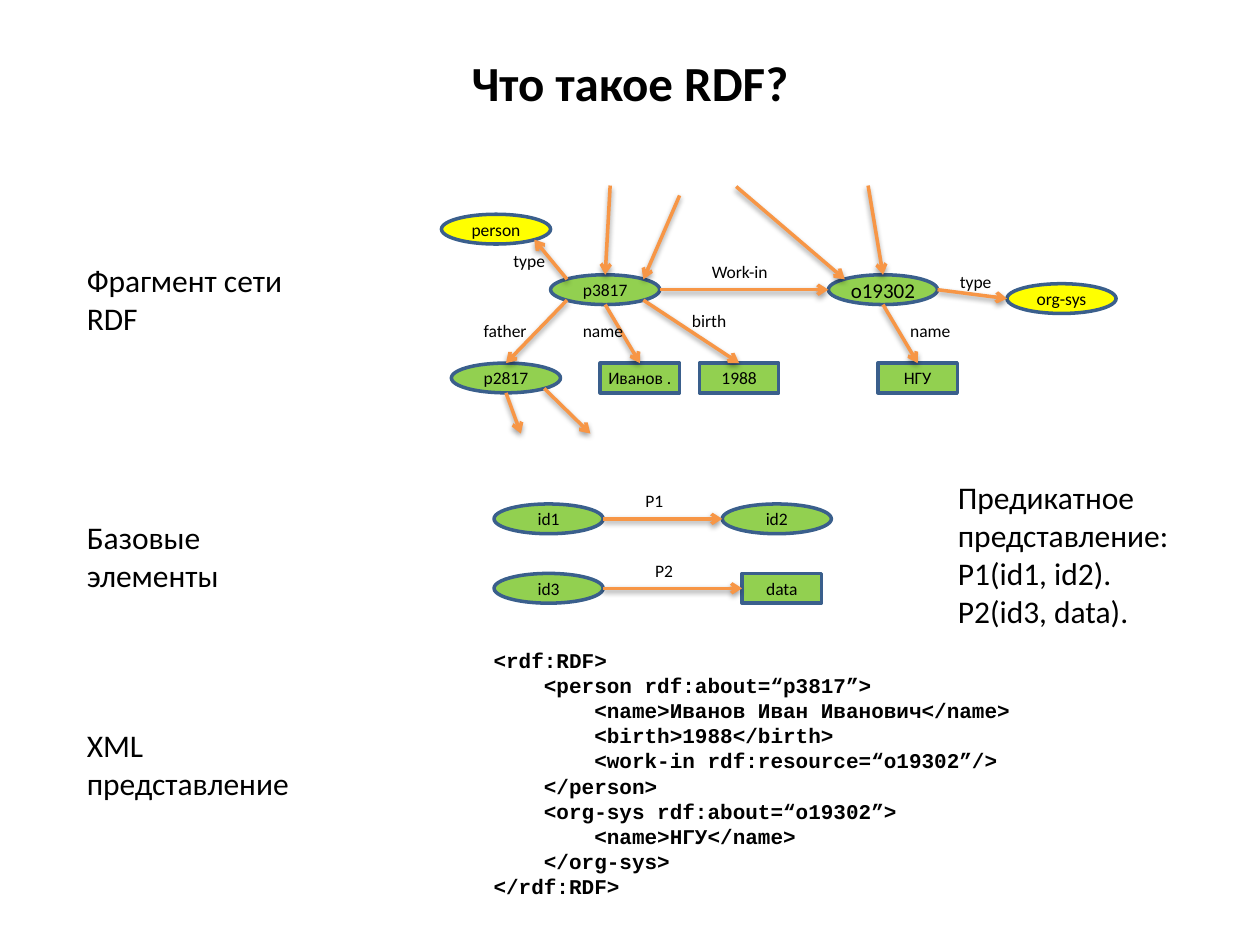
from lxml.etree import SubElement
from pptx import Presentation
from pptx.dml.color import RGBColor
from pptx.enum.shapes import MSO_CONNECTOR, MSO_SHAPE
from pptx.enum.text import MSO_ANCHOR, PP_ALIGN
from pptx.oxml import parse_xml
from pptx.oxml.ns import nsdecls, qn
from pptx.util import Inches, Pt

HUES = {"ink": "000000", "green": "92D050", "yellow": "FFFF00",
        "edge": "3A5F8C", "arrow": "F79646"}
RGB = {name: RGBColor.from_string(code) for name, code in HUES.items()}

deck = Presentation()
deck.slide_width, deck.slide_height = Inches(10), Inches(7.5)
slide = deck.slides.add_slide(deck.slide_layouts[6])
shapes = slide.shapes

# All places and sizes are in square cells, 127 to the slide's width.
CELL = deck.slide_width / 127
NODE_H = 3


def cells(*counts):
    return [round(n * CELL) for n in counts]


def write(shape, text, size=10, font="Calibri", bold=False, mid=False,
          wrap=True, pad=None):
    frame = shape.text_frame
    frame.word_wrap = wrap
    frame.vertical_anchor = MSO_ANCHOR.MIDDLE if mid else MSO_ANCHOR.TOP
    if pad is not None:
        frame.margin_left = frame.margin_right = Inches(pad)
        frame.margin_top = frame.margin_bottom = Inches(pad)
    frame.text = text
    for para in frame.paragraphs:
        para.alignment = PP_ALIGN.CENTER if mid else PP_ALIGN.LEFT
        para.font.size, para.font.name = Pt(size), font
        para.font.bold = bold
        para.font.color.rgb = RGB["ink"]


title = shapes.add_textbox(*cells(6.35, 3.8, 114.3, 8.9))
write(title, "Что такое RDF?", size=28, bold=True, mid=True)

# Nodes: name, left, top, kind, text size
OVAL, RECT = MSO_SHAPE.OVAL, MSO_SHAPE.RECTANGLE
KINDS = {"item": (OVAL, 11, "green"), "class": (OVAL, 11, "yellow"),
         "value": (RECT, 8, "green")}
NODES = [
    ("p3817", 55.5, 27.7, "item", 10),
    ("o19302", 83.5, 27.7, "item", 12),
    ("p2817", 45.5, 36.6, "item", 10),
    ("Иванов .", 60.5, 36.6, "value", 10),
    ("1988", 70.5, 36.6, "value", 10),
    ("НГУ", 88.5, 36.6, "value", 10),
    ("org-sys", 101.5, 28.6, "class", 10),
    ("person", 44.5, 21.6, "class", 10),
    ("id1", 49.8, 50.8, "item", 10),
    ("id2", 72.8, 50.8, "item", 10),
    ("id3", 49.8, 57.8, "item", 10),
    ("data", 74.8, 57.8, "value", 10),
]
# Sites on a node's outline, as shares of its width and height
SITES = {"N": (0.5, 0), "W": (0, 0.5), "S": (0.5, 1), "E": (1, 0.5),
         "NW": (0.15, 0.15), "NE": (0.85, 0.15),
         "SW": (0.15, 0.85), "SE": (0.85, 0.85)}
SIDES = {"N": 0, "W": 1, "S": 2, "E": 3}

boxes, spots = {}, {}
for name, left, top, kind, size in NODES:
    form, wide, hue = KINDS[kind]
    box = shapes.add_shape(form, *cells(left, top, wide, NODE_H))
    box.shadow.inherit = False
    box.fill.solid()
    box.fill.fore_color.rgb = RGB[hue]
    box.line.color.rgb = RGB["edge"]
    box.line.width = Pt(2)
    write(box, name, size=size, mid=True, wrap=False, pad=0.02)
    boxes[name] = box
    for site, (across, down) in SITES.items():
        spots[name, site] = (left + across * wide, top + down * NODE_H)

# Arrows: each end is a node with a site, or a free point
ARROWS = [
    (("p3817", "E"), ("o19302", "W")),
    (("o19302", "E"), ("org-sys", "W")),
    (("p3817", "NW"), ("person", "SE")),
    ((61.5, 18.7), ("p3817", "N")),
    ((68.5, 19.7), ("p3817", "NE")),
    ((74.2, 18.8), ("o19302", "NW")),
    ((87.5, 18.7), ("o19302", "N")),
    (("p3817", "SW"), ("p2817", "N")),
    (("p3817", "S"), ("Иванов .", "N")),
    (("p3817", "SE"), ("1988", "N")),
    (("o19302", "S"), ("НГУ", "N")),
    (("p2817", "SE"), (59.5, 43.7)),
    (("p2817", "S"), (52.5, 43.7)),
    (("id1", "E"), ("id2", "W")),
    (("id3", "E"), ("data", "W")),
]
SHADOW = (f'<a:effectLst {nsdecls("a")}><a:outerShdw blurRad="40000" '
          'dist="20000" dir="5400000" rotWithShape="0">'
          f'<a:srgbClr val="{HUES["ink"]}"><a:alpha val="38000"/></a:srgbClr>'
          '</a:outerShdw></a:effectLst>')
for start, end in ARROWS:
    ends = cells(*spots.get(start, start), *spots.get(end, end))
    line = shapes.add_connector(MSO_CONNECTOR.STRAIGHT, *ends)
    line.line.color.rgb = RGB["arrow"]
    line.line.width = Pt(2)
    SubElement(line.line._get_or_add_ln(), qn("a:tailEnd"), type="arrow")
    line._element.spPr.append(parse_xml(SHADOW))
    if end in spots and boxes[end[0]].auto_shape_type == RECT:
        line.end_connect(boxes[end[0]], SIDES[end[1]])

# Arrow labels: text, left, top, width
LABELS = [
    ("type", 50.5, 24.6, 6), ("type", 95.5, 26.7, 6),
    ("Work-in", 70.5, 25.7, 9), ("name", 90.5, 31.6, 7),
    ("name", 57.5, 31.6, 7), ("birth", 68.5, 30.6, 8),
    ("father", 47.5, 31.6, 8), ("P1", 63.8, 48.8, 7),
    ("P2", 64.8, 55.8, 7),
]
for text, left, top, wide in LABELS:
    write(shapes.add_textbox(*cells(left, top, wide, 3.4)), text)

# Larger notes: text, left, top, width, height
NOTES = [
    ("Фрагмент сети RDF", 7.5, 25.7, 23, 9),
    ("Базовые элементы", 7.5, 51.6, 24, 9),
    ("XML представление", 7.5, 72.6, 25, 9),
    ("Предикатное представление:\nP1(id1, id2).\nP2(id3, data).",
     95.3, 47.6, 27.5, 16.6),
]
for text, *place in NOTES:
    write(shapes.add_textbox(*cells(*place)), text, size=18)

CODE = """<rdf:RDF>
    <person rdf:about=“p3817”>
        <name>Иванов Иван Иванович</name>
        <birth>1988</birth>
        <work-in rdf:resource=“o19302”/>
    </person>
    <org-sys rdf:about=“o19302”>
        <name>НГУ</name>
    </org-sys>
</rdf:RDF>"""
write(shapes.add_textbox(*cells(48.5, 64.6, 63, 26.9)), CODE,
      size=12, font="Courier New", bold=True)

deck.save("out.pptx")
